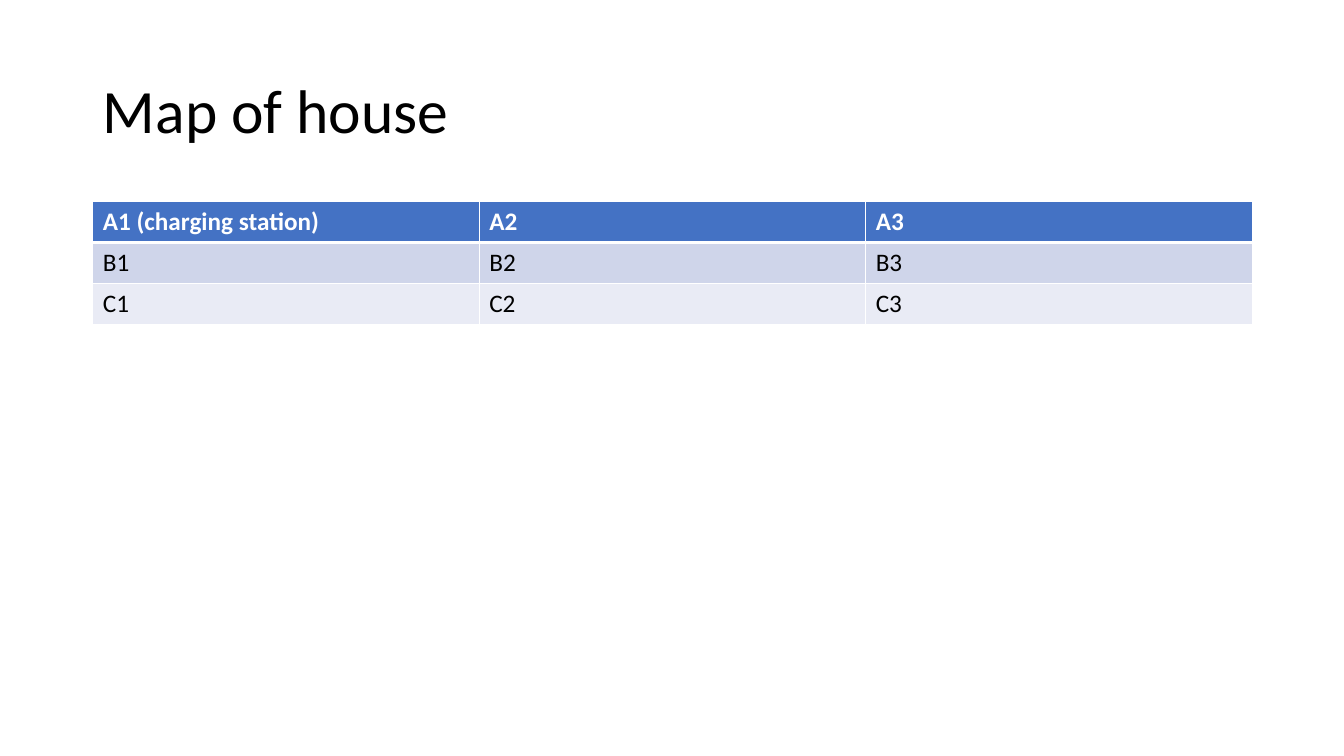
from lxml import etree
from pptx import Presentation
from pptx.dml.color import RGBColor
from pptx.enum.text import MSO_ANCHOR, PP_ALIGN
from pptx.oxml.ns import qn
from pptx.util import Inches, Pt

LEFT = PP_ALIGN.LEFT
MIDDLE = MSO_ANCHOR.MIDDLE
FONT = "Calibri"
COLORS = {
    "black": "000000",
    "white": "FFFFFF",
    "head": "4472C4",
    "odd": "CFD5EA",
    "even": "E9EBF5",
}
ROOMS = [
    ["A1 (charging station)", "A2", "A3"],
    ["B1", "B2", "B3"],
    ["C1", "C2", "C3"],
]
FILLS = ["head", "odd", "even"]


def style(run, size, color, bold=False):
    run.font.name = FONT
    run.font.size = Pt(size)
    run.font.bold = bold
    run.font.color.rgb = RGBColor.from_string(COLORS[color])


def border(cell, side, width):
    """Draw a white line on one side (L, R, T or B) of a cell."""
    props = cell._tc.get_or_add_tcPr()
    line = etree.SubElement(props, qn(f"a:ln{side}"), w=str(Pt(width)))
    fill = etree.SubElement(line, qn("a:solidFill"))
    etree.SubElement(fill, qn("a:srgbClr"), val=COLORS["white"])


prs = Presentation()
prs.slide_width = Inches(13.33)
prs.slide_height = Inches(7.5)
slide = prs.slides.add_slide(prs.slide_layouts[5])

title = slide.shapes.title
title.left, title.top = Inches(0.92), Inches(0.4)
title.width, title.height = Inches(11.5), Inches(1.45)
frame = title.text_frame
frame.text = "Map of house"
frame.vertical_anchor = MIDDLE
head = frame.paragraphs[0]
head.alignment = LEFT
head.line_spacing = 0.9
style(head.runs[0], 44, "black")

house = slide.shapes.add_table(
    len(ROOMS), len(ROOMS[0]),
    Inches(0.92), Inches(2), Inches(11.5), Inches(1.22),
).table

for r, names in enumerate(ROOMS):
    for c, name in enumerate(names):
        cell = house.cell(r, c)
        cell.text_frame.text = name
        first = r == 0
        style(cell.text_frame.paragraphs[0].runs[0], 18,
              "white" if first else "black", first)
        for side in "LRTB":
            thick = (r, side) in [(0, "B"), (1, "T")]
            border(cell, side, 3 if thick else 1)
        cell.fill.solid()
        cell.fill.fore_color.rgb = RGBColor.from_string(COLORS[FILLS[r]])

prs.save("out.pptx")
